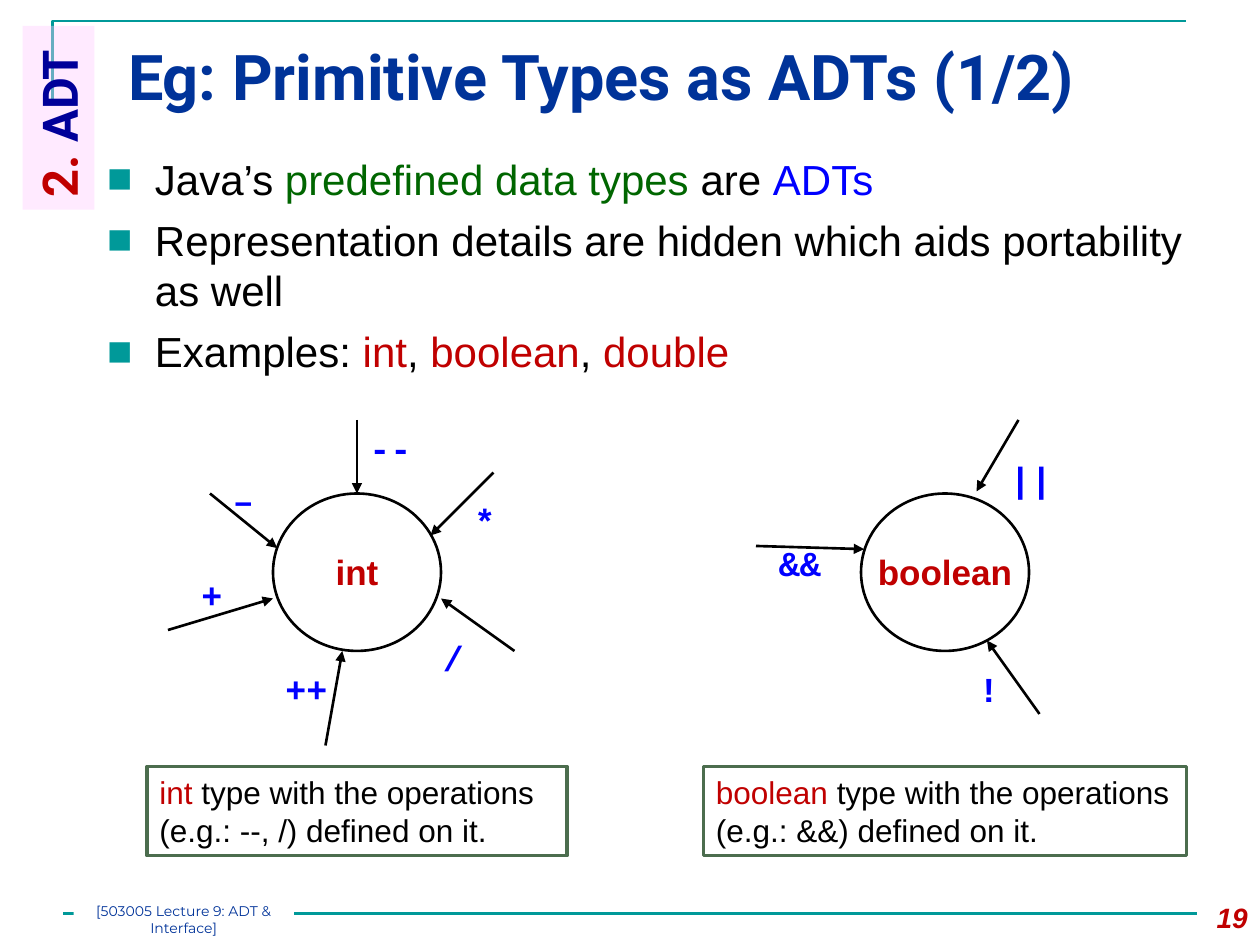
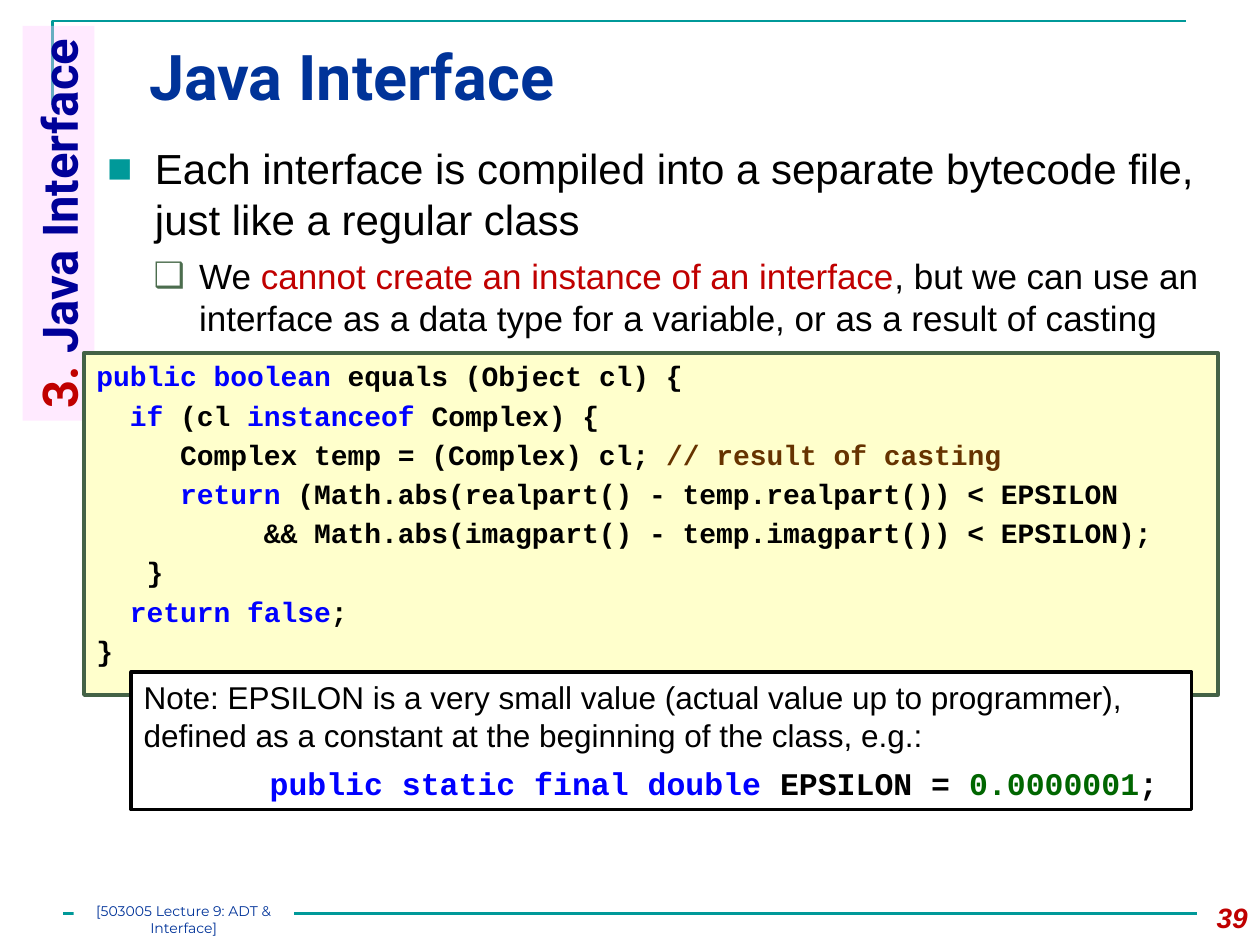
from dataclasses import dataclass
from typing import Any, NamedTuple

from lxml.etree import SubElement
from pptx import Presentation
from pptx.dml.color import RGBColor
from pptx.enum.shapes import MSO_CONNECTOR, MSO_SHAPE
from pptx.enum.text import MSO_ANCHOR, MSO_AUTO_SIZE, PP_ALIGN
from pptx.oxml.ns import qn
from pptx.util import Emu, Inches, Pt

CELL = Inches(10) / 120
TEAL, NAVY, INDIGO, BLUE = "009999", "003399", "000099", "0000FF"
RED, GREEN, BROWN, MOSS = "C00000", "006600", "663300", "4C6D4E"
BLACK, WHITE, PINK, CREAM, PINE = "000000", "FFFFFF", "FFCCFF", "FFFFCC", "446246"

TITLE_FONT = {"name": "Roboto", "size": Pt(36), "bold": True}
TAG_FONT = {"name": "Roboto", "size": Pt(28), "bold": True}
BODY_FONT = {"name": "Arial", "size": Pt(24), "bold": False}
SUB_FONT = {"name": "Arial", "size": Pt(20), "bold": False}
TYPE_FONT = {"name": "Arial", "size": Pt(20), "bold": True}
CAPTION_FONT = {"name": "Arial", "size": Pt(18), "bold": False}
NUMBER_FONT = {"name": "Arial", "size": Pt(16), "bold": True, "italic": True}
FOOTER_FONT = {"name": "Montserrat", "size": Pt(8), "bold": False}
SYMBOL_FONT = {"name": "Courier New", "size": Pt(20), "bold": True}
CODE_FONT = {"name": "Courier New", "size": Pt(16), "bold": True}
CONSTANT_FONT = {"name": "Courier New", "size": Pt(18), "bold": True}

FRAME_FORMAT = {
    "word_wrap": True, "auto_size": MSO_AUTO_SIZE.NONE, "vertical_anchor": MSO_ANCHOR.TOP,
    "margin_left": Inches(0.1), "margin_right": Inches(0.1),
    "margin_top": Inches(0.05), "margin_bottom": Inches(0.05),
}
NO_MARGINS = {f"margin_{side}": 0 for side in ("left", "right", "top", "bottom")}


class Box(NamedTuple):
    """Left column, top row, columns and rows."""
    left: float
    top: float
    width: float
    height: float


class Span(NamedTuple):
    """Text in one colour."""
    text: str
    color: str = BLACK


class Bullet(NamedTuple):
    """Bullet character and colour."""
    character: str
    color: str


@dataclass(frozen=True)
class Line:
    """One paragraph with its font, spacing and indents in inches."""
    spans: tuple[Span, ...]
    font: dict[str, Any]
    before: float = 0
    indent: float = 0
    hanging: float = 0
    bullet: Bullet | None = None
    level: int = 0
    align: PP_ALIGN = PP_ALIGN.LEFT


class Operation(NamedTuple):
    """Operator symbol with its label cell and arrow ends."""
    symbol: str
    label: tuple[float, float]
    start: tuple[float, float]
    end: tuple[float, float]


@dataclass(frozen=True)
class TypeDiagram:
    """Circle for a data type, its operations and its caption."""
    name: str
    left: float
    operations: tuple[Operation, ...]
    caption_box: Box
    caption: tuple[Span, ...]


DIAGRAMS = (
    TypeDiagram("boolean", 82, (
        Operation("&&", (73, 51), (72, 52), (82.3, 52.3)),
        Operation("!", (92, 63), (99, 68), (94, 61)),
        Operation("||", (95, 43), (97, 40), (93, 46.8)),
    ), Box(67, 73, 46, 8.5), (
        Span("boolean ", RED), Span("type with the operations (e.g.: &&) defined on it."))),
    TypeDiagram("int", 26, (
        Operation("+", (18, 54), (16, 60), (26, 57)),
        Operation("–", (21, 45), (20, 47), (26.4, 52.2)),
        Operation("*", (44, 47), (47, 45), (41, 51)),
        Operation("++", (26, 63), (31, 71), (32.6, 62)),
        Operation("/", (41, 60), (49, 62), (42, 57)),
        Operation("--", (34, 40), (34, 40), (34, 47)),
    ), Box(14, 73, 40, 8.5), (
        Span("int", RED), Span(" type with the operations (e.g.: --, /) defined on it."))),
)

EQUALS_CODE = (
    (Span("public boolean ", BLUE), Span("equals (Object cl) {")),
    (Span("  "), Span("if", BLUE), Span(" (cl "), Span("instanceof", BLUE), Span(" Complex) {")),
    (Span("     Complex temp = (Complex) cl; "), Span("// result of casting", BROWN)),
    (Span("     "), Span("return", BLUE),
     Span(" (Math.abs(realpart() - temp.realpart()) < EPSILON")),
    (Span("          && Math.abs(imagpart() - temp.imagpart()) < EPSILON);"),),
    (Span("   }"),),
    (Span("  "), Span("return false", BLUE), Span(";")),
    (Span("}"),),
)


def cells(*counts: float) -> list[Emu]:
    """Turn grid cells into lengths."""
    return [Emu(round(count * CELL)) for count in counts]


def paint(target: Any, color: str) -> None:
    """Give a fill or a font a solid colour."""
    if hasattr(target, "solid"):
        target.solid()
        target.fore_color.rgb = RGBColor.from_string(color)
    else:
        target.color.rgb = RGBColor.from_string(color)


def apply_format(target: Any, values: dict[str, Any]) -> None:
    """Set each named attribute on the target."""
    for name, value in values.items():
        setattr(target, name, value)


def write(shape: Any, lines: list[Line], **changes: Any) -> None:
    """Fill a shape with formatted paragraphs."""
    frame = shape.text_frame
    apply_format(frame, FRAME_FORMAT | changes)
    for index, line in enumerate(lines):
        paragraph = frame.add_paragraph() if index else frame.paragraphs[0]
        properties = paragraph._p.get_or_add_pPr()
        properties.set("marL", str(Inches(line.indent)))
        properties.set("indent", str(-Inches(line.hanging)))
        if line.bullet:
            color = SubElement(properties, qn("a:buClr"))
            SubElement(color, qn("a:srgbClr"), val=line.bullet.color)
            SubElement(properties, qn("a:buFont"), typeface="Arial")
            SubElement(properties, qn("a:buChar"), char=line.bullet.character)
        apply_format(paragraph, {"level": line.level, "alignment": line.align,
                                 "space_before": Pt(line.before)})
        for span in line.spans:
            run = paragraph.add_run()
            run.text = span.text
            apply_format(run.font, line.font)
            paint(run.font, span.color)


def add_text(shapes: Any, box: Box, lines: list[Line], **changes: Any) -> None:
    """Add a text box."""
    write(shapes.add_textbox(*cells(*box)), lines, **changes)


def add_panel(shapes: Any, box: Box, fill: str | None, outline: str | None,
              width: float = 2, kind: MSO_SHAPE = MSO_SHAPE.RECTANGLE) -> Any:
    """Add a flat shape with optional fill and outline."""
    panel = shapes.add_shape(kind, *cells(*box))
    panel.shadow.inherit = False
    if fill:
        paint(panel.fill, fill)
    else:
        panel.fill.background()
    if outline:
        paint(panel.line.fill, outline)
        panel.line.width = Pt(width)
    else:
        panel.line.fill.background()
    return panel


def add_rule(shapes: Any, start: tuple[float, float], end: tuple[float, float],
             color: str, arrow: bool = False) -> None:
    """Add a straight line, with an arrowhead at its end if asked."""
    rule = shapes.add_connector(MSO_CONNECTOR.STRAIGHT, *cells(*start, *end))
    paint(rule.line.fill, color)
    rule.line.width = Pt(1.5)
    if arrow:
        SubElement(rule.line._get_or_add_ln(), qn("a:tailEnd"), type="triangle")
    SubElement(rule._element.spPr, qn("a:effectLst"))


def add_frame(shapes: Any) -> None:
    """Draw the corner line, bottom rule and footer."""
    builder = shapes.build_freeform(*cells(5, 10))
    builder.add_line_segments([cells(5, 2), cells(113, 2)], close=False)
    corner = builder.convert_to_shape()
    corner.shadow.inherit = False
    corner.fill.background()
    paint(corner.line.fill, TEAL)
    corner.line.width = Pt(1.5)
    add_rule(shapes, (6, 87), (114, 87), TEAL)
    footer = add_panel(shapes, Box(7, 86, 21, 2), WHITE, None)
    write(footer, [Line((Span("[503005 Lecture 9: ADT & Interface]", NAVY),), FOOTER_FONT,
                        align=PP_ALIGN.CENTER)], **NO_MARGINS)


def add_section_tag(shapes: Any, number: str, name: str, length: float) -> None:
    """Draw the section tag that reads upward along the left edge."""
    thickness = 6.84
    middle_left, middle_top = 2.16 + thickness / 2, 2.46 + length / 2
    tag = add_panel(shapes, Box(middle_left - length / 2, middle_top - thickness / 2,
                                length, thickness), PINK, None)
    tag.rotation = 270
    color = tag._element.spPr.find(qn("a:solidFill")).find(qn("a:srgbClr"))
    SubElement(color, qn("a:alpha"), val="40000")
    write(tag, [Line((Span(number, RED), Span(name, INDIGO)), TAG_FONT)], word_wrap=False)


def add_content_slide(presentation: Any, title: str, title_left: float, number: str,
                      section: tuple[str, str, float], body_box: Box,
                      body: list[Line]) -> Any:
    """Add a slide with title, list, frame, number and section tag."""
    slide = presentation.slides.add_slide(presentation.slide_layouts[1])
    heading, content = slide.placeholders
    title_box = Box(title_left, 3, 117 - title_left, 10.3)
    for shape, box, lines in ((heading, title_box, [Line((Span(title, NAVY),), TITLE_FONT)]),
                              (content, body_box, body)):
        apply_format(shape, dict(zip(Box._fields, cells(*box))))
        write(shape, lines)
    add_frame(slide.shapes)
    add_text(slide.shapes, Box(112, 85.2, 8, 4.8),
             [Line((Span(number, RED),), NUMBER_FONT, align=PP_ALIGN.RIGHT)])
    add_section_tag(slide.shapes, *section)
    return slide


def bullet_line(*spans: Span, before: float = 0) -> Line:
    """Make a first-level list line."""
    return Line(spans, BODY_FONT, before, 0.38, 0.38, Bullet("■", TEAL))


def add_type_diagram(slide: Any, diagram: TypeDiagram) -> None:
    """Draw a type circle with arrows, operators and caption."""
    shapes = slide.shapes.add_group_shape().shapes
    for operation in diagram.operations:
        label_box = Box(*operation.label, 2.4 + 2 * len(operation.symbol), 5.2)
        add_text(shapes, label_box, [Line((Span(operation.symbol, BLUE),), SYMBOL_FONT)],
                 word_wrap=False)
        add_rule(shapes, operation.start, operation.end, BLACK, arrow=True)
    add_panel(shapes, Box(diagram.left, 47, 16, 15), None, BLACK, 1.5, MSO_SHAPE.OVAL)
    add_text(shapes, Box(diagram.left + 0.25, 51.85, 15.5, 5.2),
             [Line((Span(diagram.name, RED),), TYPE_FONT, align=PP_ALIGN.CENTER)])
    caption = add_panel(slide.shapes, diagram.caption_box, WHITE, MOSS)
    write(caption, [Line(diagram.caption, CAPTION_FONT)])


def add_primitive_types(presentation: Any) -> None:
    """Build the slide on primitive types."""
    body = [
        bullet_line(Span("Java’s "), Span("predefined data types ", GREEN), Span("are "),
                    Span("ADTs", BLUE)),
        bullet_line(Span("Representation details are hidden which aids portability as well"),
                    before=6),
        bullet_line(Span("Examples: "), Span("int", RED), Span(", "), Span("boolean", RED),
                    Span(", "), Span("double", RED), before=6),
    ]
    slide = add_content_slide(presentation, "Eg: Primitive Types as ADTs (1/2)", 11, "19",
                              ("2. ", "ADT", 17.5), Box(9, 14, 105, 24), body)
    for diagram in DIAGRAMS:
        add_type_diagram(slide, diagram)


def add_java_interface(presentation: Any) -> None:
    """Build the slide on interfaces."""
    body = [
        bullet_line(Span("Each interface is compiled into a separate bytecode file, "
                         "just like a regular class")),
        Line((Span("We "), Span("cannot create an instance of an interface", RED),
              Span(", but we can use an interface as a data type for a variable, "
                   "or as a result of casting")),
             SUB_FONT, 6, 0.73, 0.36, Bullet("❑", MOSS), level=1),
    ]
    slide = add_content_slide(presentation, "Java Interface", 13, "39",
                              ("3. ", "Java Interface", 37.6), Box(9, 13, 107, 20.6), body)
    code = add_panel(slide.shapes, Box(8, 33.6, 108, 32.6), CREAM, PINE)
    write(code, [Line(spans, CODE_FONT, 3.2 if index else 0, 0.38, 0.38)
                 for index, spans in enumerate(EQUALS_CODE)])
    note = add_panel(slide.shapes, Box(12.5, 64, 101, 13.1), WHITE, BLACK)
    write(note, [
        Line((Span("Note: EPSILON is a very small value (actual value up to programmer), "
                   "defined as a constant at the beginning of the class, e.g.:"),), CAPTION_FONT),
        Line((Span("public static final double ", BLUE), Span("EPSILON = "),
              Span("0.0000001", GREEN), Span(";")), CONSTANT_FONT, 6, indent=1),
    ])


def main() -> None:
    """Build and save the presentation."""
    presentation = Presentation()
    presentation.slide_width, presentation.slide_height = cells(120, 90)
    add_primitive_types(presentation)
    add_java_interface(presentation)
    presentation.save("out.pptx")


if __name__ == "__main__":
    main()
